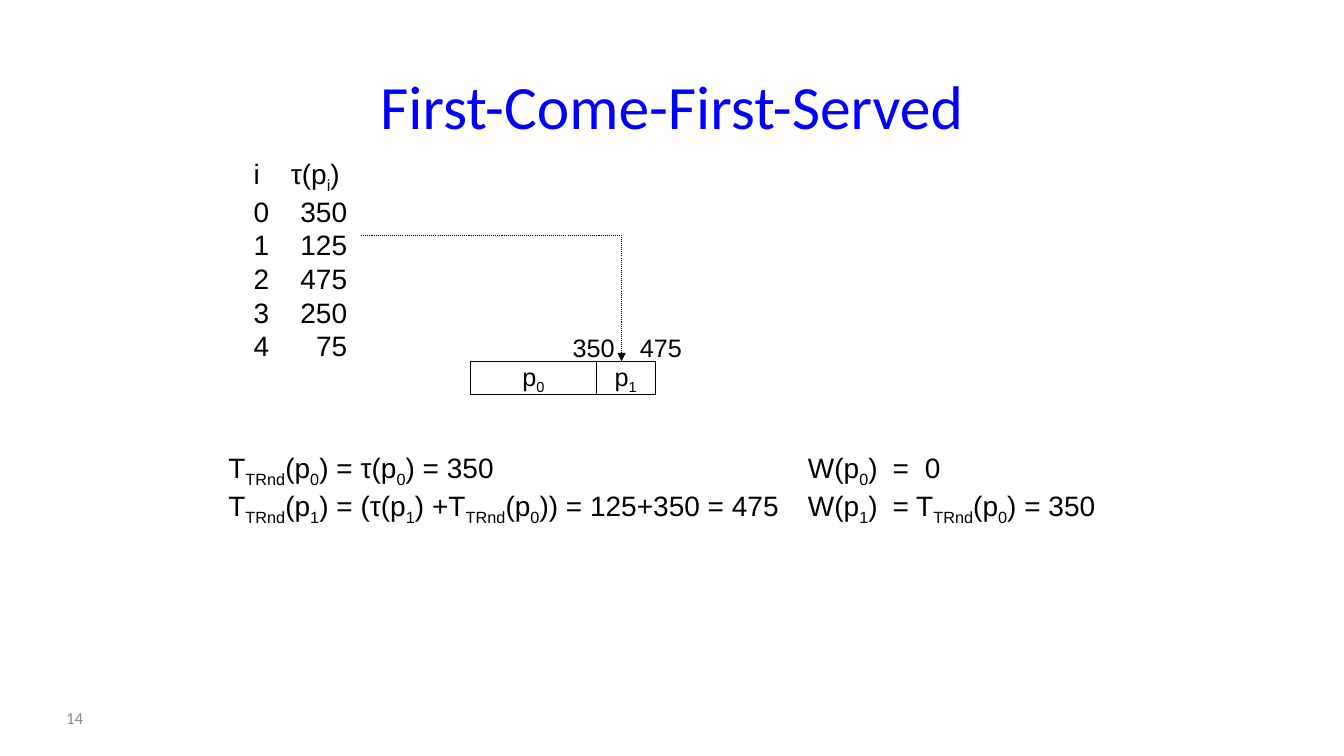
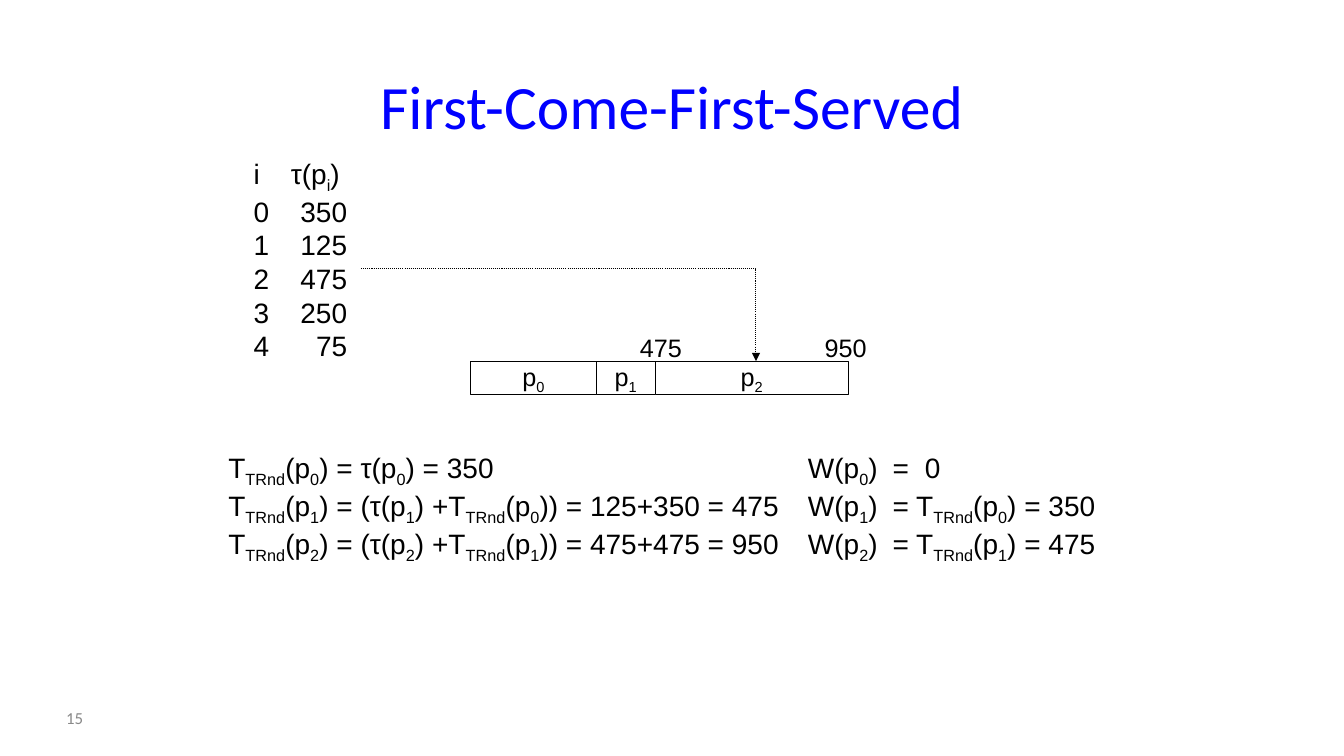
from dataclasses import dataclass
from itertools import accumulate

from lxml import etree
from pptx import Presentation
from pptx import util as u
from pptx.dml.color import RGBColor
from pptx.enum import dml, shapes, text
from pptx.oxml.ns import qn


@dataclass(frozen=True)
class Theme:
    """Colours, fonts and type sizes of the slides."""

    title: RGBColor = RGBColor(0x00, 0x00, 0xFF)
    ink: RGBColor = RGBColor(0x00, 0x00, 0x00)
    paper: RGBColor = RGBColor(0xFF, 0xFF, 0xFF)
    muted: RGBColor = RGBColor(0x89, 0x89, 0x89)
    heading_font: str = "Calibri"
    body_font: str = "Arial"
    title_size: int = 44
    body_size: int = 20
    chart_size: int = 18
    number_size: int = 12
    line_width: float = 0.75


THEME = Theme()
COLUMNS, ROWS = 160, 90
CELL = u.Inches(7.5) // ROWS
SERVICE_TIMES = [350, 125, 475, 250, 75]
FINISH_TIMES = list(accumulate(SERVICE_TIMES))
BAR_EDGES = [56, 71, 78, 101]
LABEL_LEFTS = [67, 75, 97]
ARROW_COLUMNS = [63.5, 74, 90]
BAR_TOP, BAR_HEIGHT = 43, 4
FIRST_NUMBER = 14


def grid(*cells):
    """Turn grid columns and rows into lengths."""
    return [u.Emu(round(cell * CELL)) for cell in cells]


def add_runs(paragraph, marked, size, font=THEME.body_font, color=THEME.ink):
    """Add runs, with the parts between bars set as subscripts."""
    for index, part in enumerate(marked.split("|")):
        if part:
            run = paragraph.add_run()
            run.text = part
            run.font.size = u.Pt(size)
            run.font.name = font
            run.font.color.rgb = color
            if index % 2:
                run.font._element.set("baseline", "-25000")


def add_tabs(paragraph, stops):
    """Set tab stops given as pairs of inches and alignment."""
    if stops:
        tab_list = etree.SubElement(paragraph._p.get_or_add_pPr(), qn("a:tabLst"))
        for inches, align in stops:
            etree.SubElement(tab_list, qn("a:tab"), pos=str(u.Inches(inches)), algn=align)


def add_lines(slide, box, lines, size, **style):
    """Add a text box from pairs of marked text and tab stops."""
    frame = slide.shapes.add_textbox(*grid(*box)).text_frame
    frame.word_wrap = True
    frame.margin_right = 0
    for index, (marked, stops) in enumerate(lines):
        paragraph = frame.add_paragraph() if index else frame.paragraphs[0]
        add_tabs(paragraph, stops)
        add_runs(paragraph, marked, size, **style)
    return frame


def add_title(slide, heading):
    """Place and format the title."""
    title = slide.shapes.title
    title.left, title.top, title.width, title.height = grid(29, 8, 102, 9)
    frame = title.text_frame
    frame.auto_size = text.MSO_AUTO_SIZE.NONE
    frame.vertical_anchor = text.MSO_ANCHOR.MIDDLE
    frame.paragraphs[0].alignment = text.PP_ALIGN.CENTER
    add_runs(frame.paragraphs[0], heading, THEME.title_size, THEME.heading_font, THEME.title)


def add_number(slide, number):
    """Add the slide number at the lower left."""
    frame = add_lines(slide, (6.7, 83, 17.3, 4.8), [(str(number), [])],
                      THEME.number_size, font=THEME.heading_font, color=THEME.muted)
    frame.vertical_anchor = text.MSO_ANCHOR.MIDDLE


def add_service_times(slide):
    """List each process with its service time."""
    lines = [("i\tτ(p|i|)", [(0.37, "l")])]
    lines += [(f"{job}\t{time}", [(0.93, "r")]) for job, time in enumerate(SERVICE_TIMES)]
    add_lines(slide, (29, 18, 13.6, 25.4), lines, THEME.body_size)


def add_bar(slide, job):
    """Draw one process on the timeline."""
    left, right = BAR_EDGES[job:job + 2]
    bar = slide.shapes.add_shape(shapes.MSO_SHAPE.RECTANGLE,
                                 *grid(left, BAR_TOP, right - left, BAR_HEIGHT))
    bar.shadow.inherit = False
    bar.fill.solid()
    bar.fill.fore_color.rgb = THEME.paper
    bar.line.color.rgb = THEME.ink
    bar.line.width = u.Pt(THEME.line_width)
    frame = bar.text_frame
    frame.word_wrap = False
    frame.vertical_anchor = text.MSO_ANCHOR.MIDDLE
    frame.paragraphs[0].alignment = text.PP_ALIGN.CENTER
    add_runs(frame.paragraphs[0], f"p|{job}|", THEME.chart_size)


def add_arrow(slide, job):
    """Lead from a service time down to its bar."""
    row, column = 24 + 4 * job, ARROW_COLUMNS[job]
    route = slide.shapes.build_freeform(*grid(43, row))
    route.add_line_segments([grid(column, row), grid(column, BAR_TOP)], close=False)
    arrow = route.convert_to_shape()
    arrow.shadow.inherit = False
    arrow.fill.background()
    arrow.line.color.rgb = THEME.ink
    arrow.line.width = u.Pt(THEME.line_width)
    arrow.line.dash_style = dml.MSO_LINE.ROUND_DOT
    etree.SubElement(arrow.line._get_or_add_ln(), qn("a:tailEnd"), type="triangle")


def turnaround(job):
    """Write the turnaround formula of a process."""
    start = f"T|TRnd|(p|{job}|) = "
    if not job:
        return f"{start}τ(p|0|) = {FINISH_TIMES[0]}"
    total = f"{SERVICE_TIMES[job]}+{FINISH_TIMES[job - 1]} = {FINISH_TIMES[job]}"
    return f"{start}(τ(p|{job}|) +T|TRnd|(p|{job - 1}|)) = {total}"


def waiting(job):
    """Write the waiting time formula of a process."""
    if not job:
        return "W(p|0|)\t=\t0"
    return f"W(p|{job}|)\t= T|TRnd|(p|{job - 1}|) = {FINISH_TIMES[job - 1]}"


def add_formulas(slide, jobs):
    """Add the turnaround and waiting time columns."""
    height = 1.2 + 4 * len(jobs)
    add_lines(slide, (26, 53, 70.3, height), [(turnaround(job), []) for job in jobs],
              THEME.body_size)
    add_lines(slide, (95, 53, 38, height),
              [(waiting(job), [(0.84, "l"), (1.16, "l")]) for job in jobs], THEME.body_size)


def add_step(prs, number, current):
    """Build the slide on which the current process is scheduled."""
    slide = prs.slides.add_slide(prs.slide_layouts[5])
    jobs = range(current + 1)
    add_title(slide, "First-Come-First-Served")
    add_service_times(slide)
    for job in jobs:
        add_bar(slide, job)
    add_formulas(slide, jobs)
    add_arrow(slide, current)
    for job in (current - 1, current):
        add_lines(slide, (LABEL_LEFTS[job], 39, 7.5, 4.8),
                  [(str(FINISH_TIMES[job]), [])], THEME.chart_size)
    add_number(slide, number)


def main():
    """Build and save the presentation."""
    prs = Presentation()
    prs.slide_width, prs.slide_height = grid(COLUMNS, ROWS)
    for number, current in enumerate((1, 2), FIRST_NUMBER):
        add_step(prs, number, current)
    prs.save("out.pptx")


if __name__ == "__main__":
    main()
